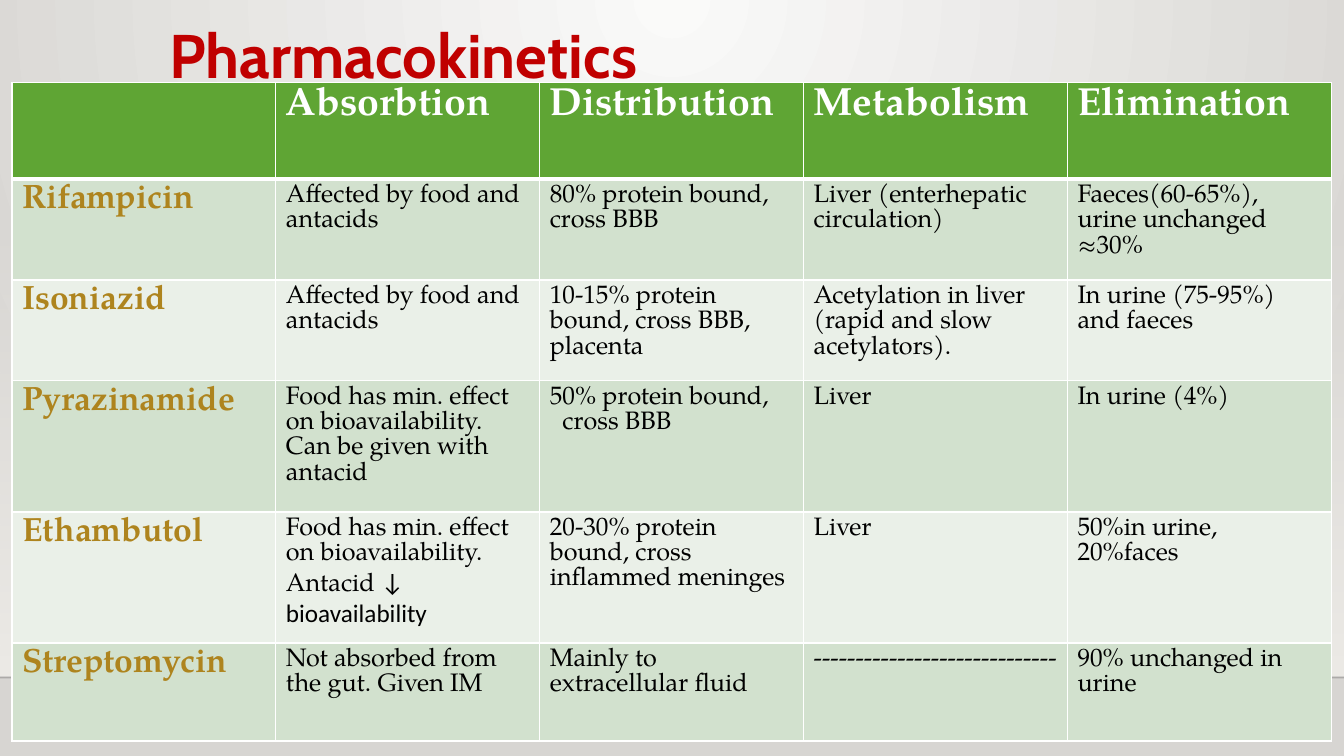
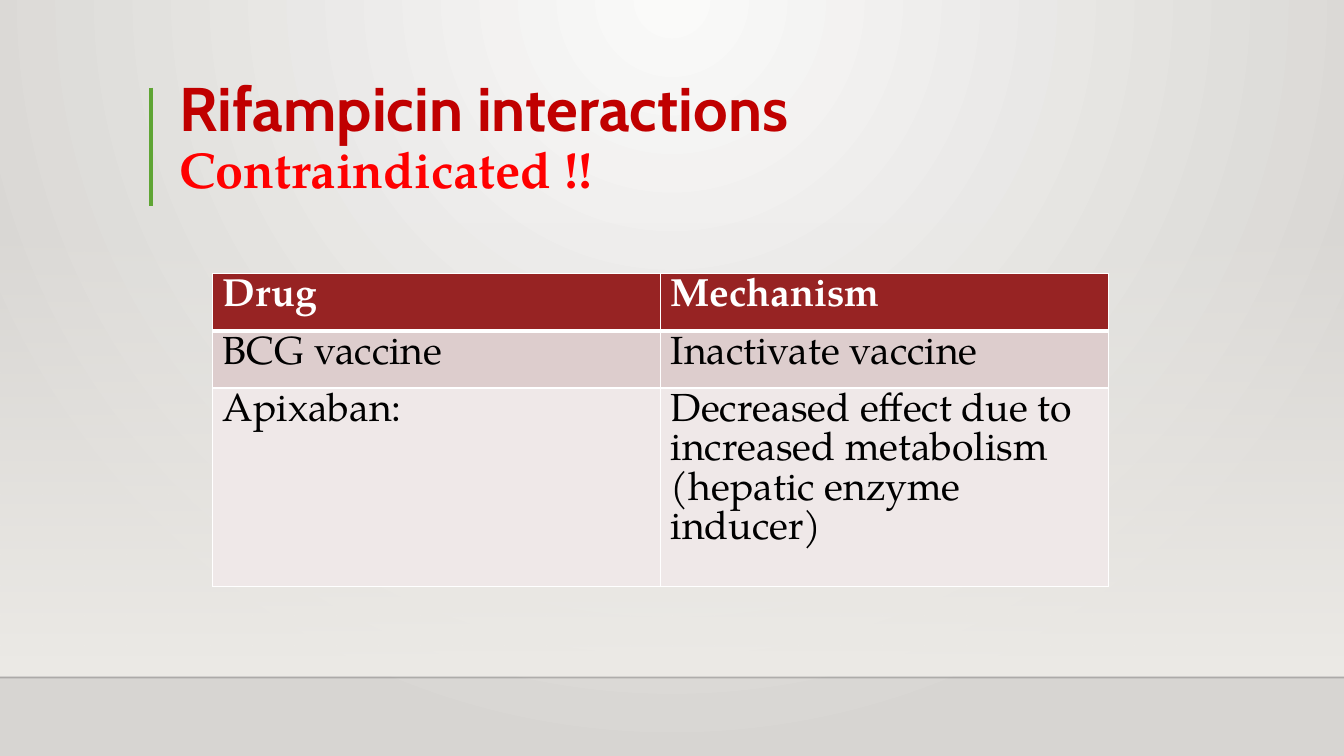
from lxml import etree
from pptx import Presentation
from pptx.dml.color import RGBColor as RGB
from pptx.enum.shapes import MSO_CONNECTOR as Link, MSO_SHAPE as Shape
from pptx.enum.text import MSO_ANCHOR as Anchor
from pptx.oxml import parse_xml
from pptx.oxml.ns import nsdecls, qn
from pptx.util import Pt

WIDE, HIGH = 960, 540
INK = {
    "glow": "FAFAF9", "wall": "D7D5D2", "haze": "EDEBE7", "edge": "000001",
    "green": "5FA534", "leaf": "D2E1CE", "mint": "EAF0E8", "gold": "AE841E",
    "wine": "972323", "rose": "DDCDCD", "blush": "EFE8E8",
    "title": "C00000", "alert": "FF0000", "white": "FFFFFF", "black": "000000",
}
SERIF, SANS, PLAIN = "TeX Gyre Pagella", "Cabin", "Calibri"
HEAD = {"name": SANS, "size": Pt(44), "bold": True}
WARN = {"name": SERIF, "size": Pt(36), "bold": True}
LABEL = {"name": SERIF, "size": Pt(28), "bold": True}
DRUG = {"name": SERIF, "size": Pt(24), "bold": True}
BODY = {"name": SERIF, "size": Pt(18), "bold": False}
LARGE = {"name": SERIF, "size": Pt(28), "bold": False}

KINETICS = [
    ["", "Absorbtion", "Distribution", "Metabolism", "Elimination"],
    ["Rifampicin", "Affected by food and antacids",
     "80% protein bound, cross BBB", "Liver (enterhepatic circulation)",
     "Faeces(60-65%), urine unchanged ≈30%"],
    ["Isoniazid", "Affected by food and antacids",
     "10-15% protein bound, cross BBB, placenta",
     "Acetylation in liver (rapid and slow acetylators).",
     "In urine (75-95%) and faeces"],
    ["Pyrazinamide",
     "Food has min. effect on bioavailability.\nCan be given with antacid",
     "50% protein bound,\ncross BBB", "Liver", "In urine (4%)"],
    ["Ethambutol", "Food has min. effect on bioavailability.\nAntacid ",
     "20-30% protein bound, cross inflammed meninges", "Liver",
     "50%in urine, 20%faces"],
    ["Streptomycin", "Not absorbed from the gut. Given IM",
     "Mainly to extracellular fluid", "-" * 29, "90% unchanged in urine"],
]
CLASHES = [
    ["Drug", "Mechanism"],
    ["BCG vaccine", "Inactivate vaccine"],
    ["Apixaban:", "Decreased effect due to increased metabolism "
                  "(hepatic enzyme inducer)"],
]


def pts(*sizes):
    return [Pt(size) for size in sizes]


def write(para, text, form, ink):
    run = para.add_run()
    run.text = text
    for key, value in form.items():
        setattr(run.font, key, value)
    run.font.color.rgb = RGB.from_string(INK[ink])


def blend(stops, shade):
    marks = "".join(
        f'<a:gs pos="{pos}"><a:srgbClr val="{INK[ink]}">'
        f'<a:alpha val="{alpha}"/></a:srgbClr></a:gs>'
        for pos, ink, alpha in stops)
    return parse_xml(f'<a:gradFill {nsdecls("a")} rotWithShape="1">'
                     f'<a:gsLst>{marks}</a:gsLst>{shade}</a:gradFill>')


def recolor(holder, fill):
    old = holder.find(qn("a:gradFill"))
    holder.replace(old, fill)


def rule(slide, x1, y1, x2, y2, ink, width):
    line = slide.shapes.add_connector(Link.STRAIGHT, *pts(x1, y1, x2, y2))
    line.line.color.rgb = RGB.from_string(INK[ink])
    line.line.width = Pt(width)
    etree.SubElement(line._element.spPr, qn("a:effectLst"))
    return line


def scene(deck):
    slide = deck.slides.add_slide(deck.slide_layouts[6])
    back = slide.background.fill
    back.gradient()
    recolor(slide._element.cSld.find(qn("p:bg")).find(qn("p:bgPr")), blend(
        [(0, "glow", 100000), (100000, "wall", 100000)],
        '<a:path path="circle"><a:fillToRect l="43000" t="0" '
        'r="43000" b="100000"/></a:path>'))
    band = slide.shapes.add_shape(Shape.RECTANGLE, *pts(0, 158.4, WIDE, 324))
    band.shadow.inherit = False
    band.line.fill.background()
    band.fill.gradient()
    recolor(band._element.spPr, blend(
        [(0, "haze", 0), (100000, "haze", 100000)],
        '<a:lin ang="5400000" scaled="0"/>'))
    floor = rule(slide, 0, 484, WIDE, 484, "edge", 1)
    tint = floor._element.spPr.find(".//" + qn("a:srgbClr"))
    etree.SubElement(tint, qn("a:alpha"), val="20000")
    rule(slide, 108, 62.6, 108, 147, "green", 3)
    return slide


def title(slide, box, lines):
    frame = slide.shapes.add_textbox(*pts(*box)).text_frame
    frame.word_wrap = True
    frame.vertical_anchor = Anchor.BOTTOM
    para = frame.paragraphs[0]
    para.line_spacing = 0.9
    for index, line in enumerate(lines):
        if index:
            para.add_line_break()
        write(para, *line)


def border(cell, row):
    sides = {"L": 1, "R": 1, "T": 3 if row == 1 else 1, "B": 1 if row else 3}
    props = cell._tc.get_or_add_tcPr()
    for side, width in sides.items():
        props.append(parse_xml(
            f'<a:ln{side} {nsdecls("a")} w="{Pt(width)}"><a:solidFill>'
            f'<a:srgbClr val="{INK["white"]}"/></a:solidFill></a:ln{side}>'))


def table(slide, box, rows, highs, fills, look):
    grid = slide.shapes.add_table(len(rows), len(rows[0]), *pts(*box)).table
    grid.first_row = grid.horz_banding = False
    for row, high in enumerate(highs):
        grid.rows[row].height = Pt(high)
        for col, text in enumerate(rows[row]):
            cell = grid.cell(row, col)
            border(cell, row)
            cell.fill.solid()
            ink = fills[0] if row == 0 else fills[2 - row % 2]
            cell.fill.fore_color.rgb = RGB.from_string(INK[ink])
            for index, part in enumerate(text.split("\n") if text else []):
                frame = cell.text_frame
                para = frame.add_paragraph() if index else frame.paragraphs[0]
                write(para, part, *look(row, col))
    return grid


def kinetic(row, col):
    if row == 0:
        return LABEL, "white"
    return (BODY, "black") if col else (DRUG, "gold")


def clash(row, col):
    return (LARGE, "black") if row else (LABEL, "white")


def kinetics(deck):
    slide = scene(deck)
    title(slide, (113.8, 13, 756, 56), [("Pharmacokinetics", HEAD, "title")])
    grid = table(slide, (8.6, 59, 942.5, 461), KINETICS,
                 (69, 70, 71, 93, 88, 70), ("green", "leaf", "mint"), kinetic)
    bound = grid.cell(3, 2).text_frame.paragraphs[1]
    bound._p.get_or_add_pPr().set("marL", str(Pt(9)))
    write(grid.cell(4, 1).text_frame.paragraphs[1], "↓ bioavailability",
          {**BODY, "name": PLAIN}, "black")


def clashes(deck):
    slide = scene(deck)
    title(slide, (121, 63.4, 749.5, 82.8),
          [("Rifampicin interactions", HEAD, "title"),
           ("Contraindicated !!", WARN, "alert")])
    table(slide, (152, 195.5, 640, 190), CLASHES, (34, 35.5, 120),
          ("wine", "rose", "blush"), clash)


def main():
    deck = Presentation()
    deck.slide_width, deck.slide_height = pts(WIDE, HIGH)
    kinetics(deck)
    clashes(deck)
    deck.save("out.pptx")


if __name__ == "__main__":
    main()
